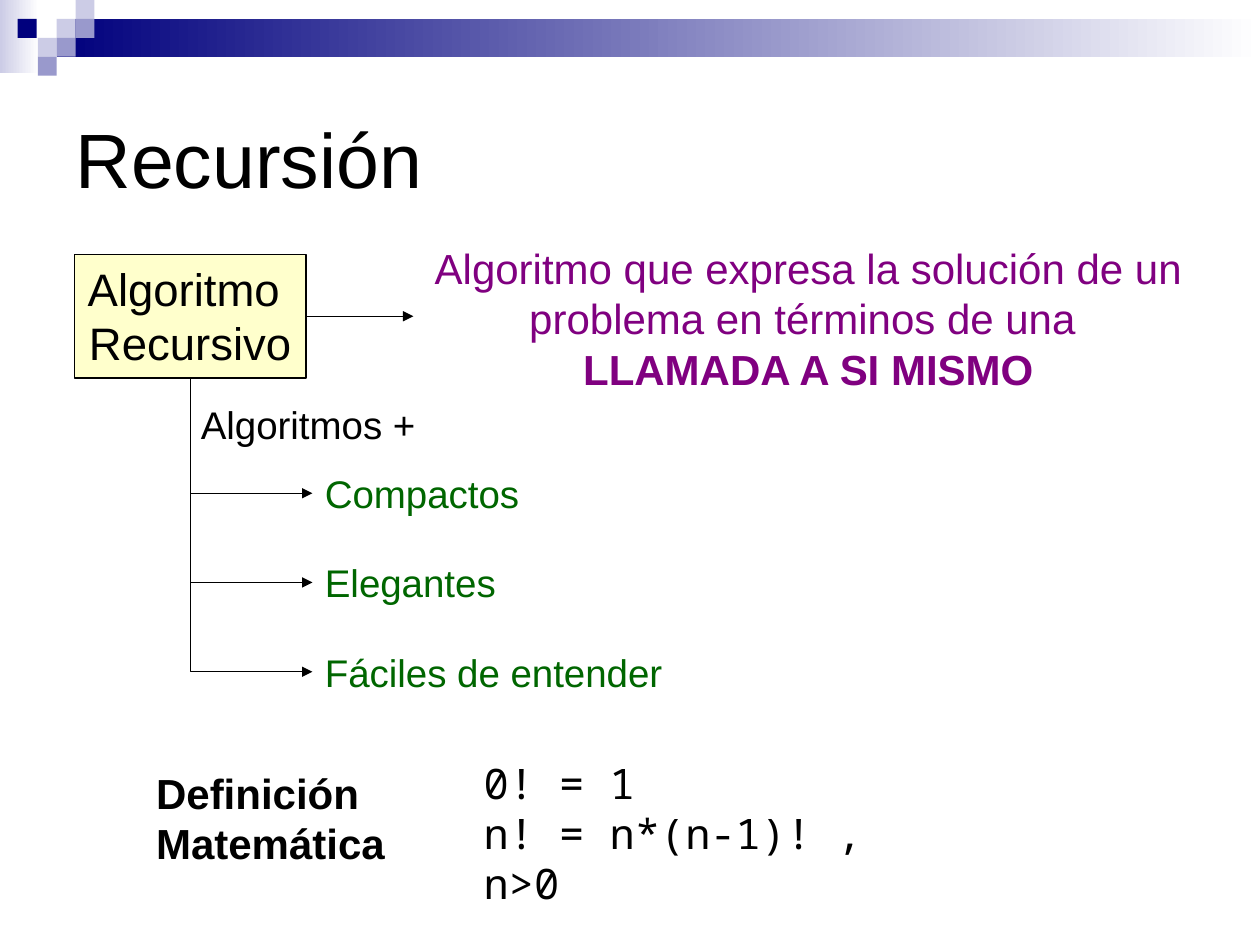
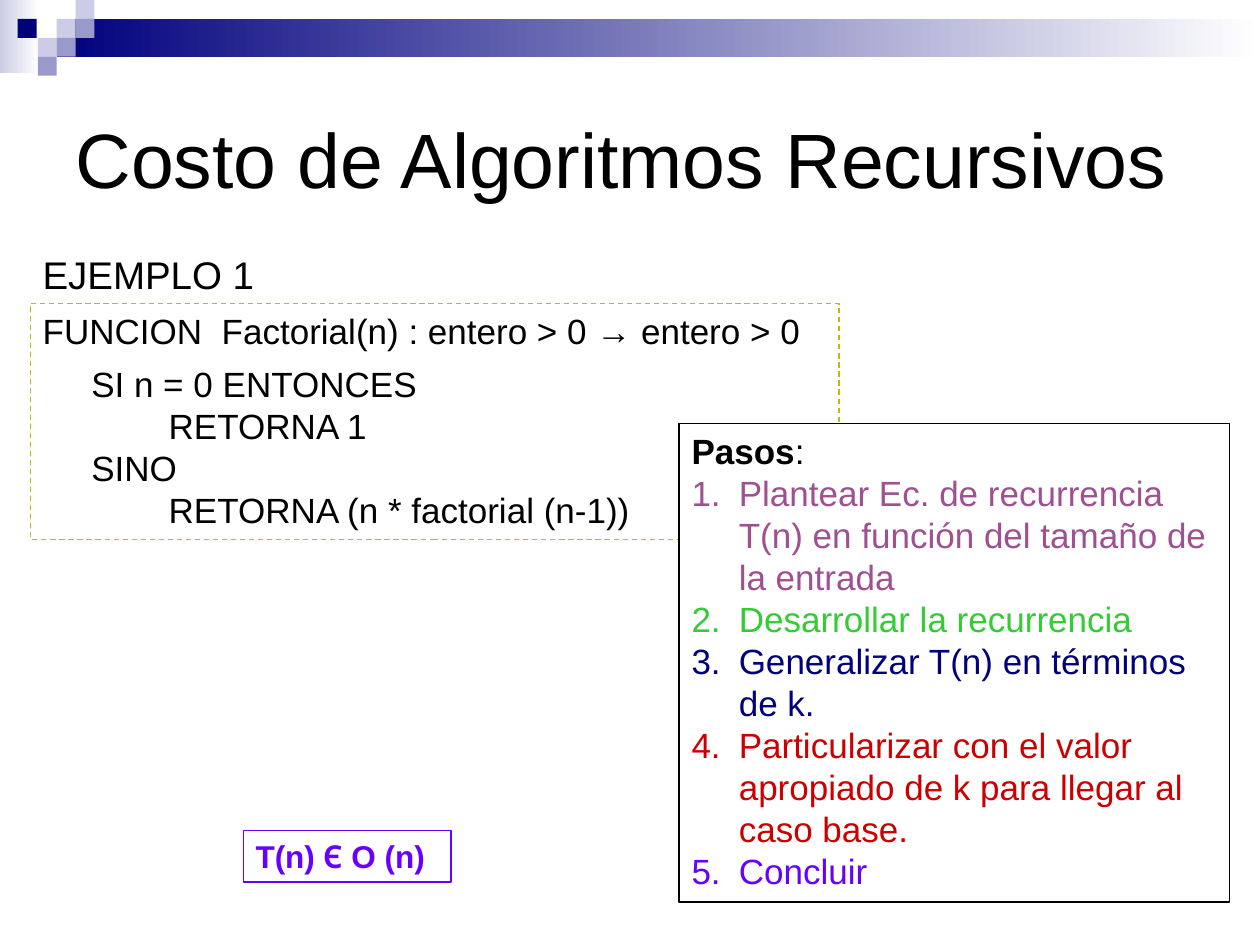
from dataclasses import dataclass

from lxml.etree import SubElement
from pptx import Presentation
from pptx.dml.color import RGBColor
from pptx.enum.dml import MSO_LINE
from pptx.enum.shapes import MSO_CONNECTOR as Link, MSO_SHAPE as Shape
from pptx.enum.text import MSO_ANCHOR as Anchor, MSO_AUTO_SIZE as Fit, PP_ALIGN as Align
from pptx.oxml.ns import qn
from pptx.util import Inches, Pt

BLACK = RGBColor(0x00, 0x00, 0x00)
WHITE = RGBColor(0xFF, 0xFF, 0xFF)
NAVY = RGBColor(0x00, 0x00, 0x7D)
PALE = RGBColor(0xCC, 0xCC, 0xE6)
LAVENDER = RGBColor(0x99, 0x99, 0xCC)
CREAM = RGBColor(0xFF, 0xFF, 0xCC)
PURPLE = RGBColor(0x80, 0x00, 0x80)
DARK_GREEN = RGBColor(0x00, 0x66, 0x00)
OLIVE = RGBColor(0xB9, 0xBD, 0x0F)
MAUVE = RGBColor(0xA0, 0x50, 0x91)
GREEN = RGBColor(0x33, 0xCC, 0x33)
RED = RGBColor(0xCC, 0x00, 0x00)
VIOLET = RGBColor(0x66, 0x00, 0xFF)

SANS, MONO = "Arial", "Noto Sans Mono"
COLUMNS, ROWS = 100, 75
SLIDE_WIDTH, SLIDE_HEIGHT = Inches(10), Inches(7.5)
TOP, LEFT, BOTTOM, RIGHT = range(4)


@dataclass(frozen=True)
class Area:
    left: float
    top: float
    width: float
    height: float

    def place(self) -> tuple:
        return columns(self.left), rows(self.top), columns(self.width), rows(self.height)


@dataclass(frozen=True)
class Span:
    text: str
    color: RGBColor = BLACK
    bold: bool = False
    font: str = SANS


@dataclass(frozen=True)
class Para:
    spans: tuple
    align: Align = Align.LEFT
    margin: float = 0
    hanging: bool = False
    numbered: bool = False
    before: float = 0


@dataclass(frozen=True)
class Block:
    area: Area
    paras: tuple
    size: float
    fill: RGBColor | None = None
    line: RGBColor | None = None
    dash: MSO_LINE | None = None
    anchor: Anchor = Anchor.TOP
    wrap: bool = True


@dataclass(frozen=True)
class Tile:
    area: Area
    color: RGBColor
    fades: bool = False


def columns(count: float) -> int:
    return round(SLIDE_WIDTH * count / COLUMNS)


def rows(count: float) -> int:
    return round(SLIDE_HEIGHT * count / ROWS)


def apply(target, values: dict) -> None:
    for name, value in values.items():
        setattr(target, name, value)


def lines(*texts: str, color: RGBColor = BLACK, bold: bool = False,
          font: str = SANS, align: Align = Align.LEFT) -> tuple:
    return tuple(Para((Span(text, color, bold, font),), align) for text in texts)


TILE = 1.5
BAND = (
    Tile(Area(0, 0, 3.1, 5.8), PALE, True),
    Tile(Area(4.5, TILE, 95.5, 3), NAVY, True),
    *(Tile(Area(left, row * TILE, TILE, TILE), color) for left, row, color in (
        (4.5, 1, PALE), (6, 0, PALE), (6, 1, LAVENDER), (3, 2, PALE),
        (1.4, 1, NAVY), (4.5, 2, LAVENDER), (3, 3, LAVENDER))),
)


def share_band(deck, page) -> None:
    tree = deck.slide_master.shapes.element
    for position, tile in enumerate(BAND, start=2):
        box = page.shapes.add_shape(Shape.RECTANGLE, *tile.area.place())
        box.shadow.inherit = False
        box.line.fill.background()
        if tile.fades:
            box.fill.gradient()
            box.fill.gradient_angle = 0
            for stop, color in zip(box.fill.gradient_stops, (tile.color, WHITE)):
                stop.color.rgb = color
        else:
            box.fill.solid()
            box.fill.fore_color.rgb = tile.color
        tree.insert(position, box.element)


def write_para(para, content: Para, size: float) -> None:
    properties = para._p.get_or_add_pPr()
    if content.margin:
        properties.set("marL", str(columns(content.margin)))
        properties.set("indent", str(-columns(content.margin) if content.hanging else 0))
    if content.numbered:
        SubElement(properties, qn("a:buAutoNum"), type="arabicPeriod")
    para.alignment = content.align
    if content.before:
        para.space_before = Pt(content.before)
    for span in content.spans:
        run = para.add_run()
        run.text = span.text
        apply(run.font, {"name": span.font, "size": Pt(size), "bold": span.bold})
        run.font.color.rgb = span.color


def write(frame, paras: tuple, size: float) -> None:
    for index, content in enumerate(paras):
        para = frame.add_paragraph() if index else frame.paragraphs[0]
        write_para(para, content, size)


def draw_block(page, block: Block):
    if block.fill is None and block.line is None:
        box = page.shapes.add_textbox(*block.area.place())
    else:
        box = page.shapes.add_shape(Shape.RECTANGLE, *block.area.place())
        box.shadow.inherit = False
        if block.fill is None:
            box.fill.background()
        else:
            box.fill.solid()
            box.fill.fore_color.rgb = block.fill
        box.line.color.rgb = block.line
        apply(box.line, {"width": Pt(0.75), "dash_style": block.dash})
    apply(box.text_frame, {
        "word_wrap": block.wrap,
        "vertical_anchor": block.anchor,
        "auto_size": Fit.NONE if block.anchor == Anchor.MIDDLE else Fit.SHAPE_TO_FIT_TEXT,
    })
    write(box.text_frame, block.paras, block.size)
    return box


def style_arrow(arrow) -> None:
    arrow.line.color.rgb = BLACK
    arrow.line.width = Pt(0.75)
    properties = arrow.element.spPr
    SubElement(properties.find(qn("a:ln")), qn("a:tailEnd"), type="triangle")
    SubElement(properties, qn("a:effectLst"))


def draw_branch(page, source, target) -> None:
    start_x, start_y = source.left + source.width // 2, source.top + source.height
    end_x, end_y = target.left, target.top + target.height // 2
    across, down = end_x - start_x, end_y - start_y
    arrow = page.shapes.add_connector(Link.ELBOW, start_x, start_y, end_x, end_y)
    arrow.begin_connect(source, BOTTOM)
    arrow.end_connect(target, LEFT)
    apply(arrow, {
        "left": start_x + (across - down) // 2,
        "top": start_y + (down - across) // 2,
        "width": down,
        "height": across,
    })
    properties = arrow.element.spPr
    properties.find(qn("a:prstGeom")).set("prst", "bentConnector2")
    frame = properties.find(qn("a:xfrm"))
    frame.set("rot", str(270 * 60000))
    frame.set("flipH", "1")
    style_arrow(arrow)


def add_page(deck, title: str):
    page = deck.slides.add_slide(deck.slide_layouts[5])
    heading = page.shapes.title
    left, top, width, height = Area(5, 5, 90, 15).place()
    apply(heading, {"left": left, "top": top, "width": width, "height": height})
    apply(heading.text_frame, {"vertical_anchor": Anchor.MIDDLE, "word_wrap": True,
                               "auto_size": Fit.NONE})
    write(heading.text_frame, lines(title), 44)
    return page


def build_recursion(page) -> None:
    centered = {"align": Align.CENTER}
    middle = {"anchor": Anchor.MIDDLE, "wrap": False}
    meaning = (
        *lines("Algoritmo que expresa la solución de un", "problema en términos de una ",
               color=PURPLE, **centered),
        *lines("LLAMADA A SI MISMO", color=PURPLE, bold=True, **centered))
    draw_block(page, Block(Area(31.1, 17, 66.1, 16.5), meaning, 24, **middle))
    algorithm = draw_block(page, Block(
        Area(5.9, 20.2, 18.4, 9.8), lines("Algoritmo ", "Recursivo", **centered),
        26, CREAM, BLACK, wrap=False))
    middle_y = algorithm.top + algorithm.height // 2
    arrow = page.shapes.add_connector(
        Link.STRAIGHT, algorithm.left + algorithm.width, middle_y, columns(32.8), middle_y)
    arrow.begin_connect(algorithm, RIGHT)
    style_arrow(arrow)

    draw_block(page, Block(Area(7.5, 29.7, 33.9, 7.9),
                           lines("Algoritmos +", **centered), 22, **middle))
    for index, virtue in enumerate(("Compactos", "Elegantes", "Fáciles de entender")):
        target = draw_block(page, Block(
            Area(24.8, 35.2 + 7.08 * index, 33.9, 7.9),
            lines(virtue, color=DARK_GREEN), 22, **middle))
        draw_branch(page, algorithm, target)

    draw_block(page, Block(Area(37.4, 59.6, 39.4, 9.4),
                           lines("0! = 1", "n! = n*(n-1)! , n>0", font=MONO), 24))
    draw_block(page, Block(Area(11.4, 60.4, 20.2, 9),
                           lines("Definición", "Matemática", bold=True), 24, wrap=False))


def build_cost(page) -> None:
    code = (
        ("FUNCION  Factorial(n) : entero > 0 → entero > 0", 0, 0),
        ("SI n = 0 ENTONCES", 3.86, 6),
        ("RETORNA 1", 10, 0),
        ("SINO", 3.86, 0),
        ("RETORNA (n * factorial (n-1))", 10, 0))
    draw_block(page, Block(
        Area(2.4, 24.1, 64.2, 18.7),
        tuple(Para((Span(text),), margin=margin, before=before)
              for text, margin, before in code),
        20, line=OLIVE, dash=MSO_LINE.DASH))

    steps = (
        ("Plantear Ec. de recurrencia T(n) en función del tamaño de la entrada", MAUVE),
        ("Desarrollar la recurrencia", GREEN),
        ("Generalizar T(n) en términos de k.", NAVY),
        ("Particularizar con el valor apropiado de k para llegar al caso base.", RED),
        ("Concluir", VIOLET))
    hanging = {"margin": 3.75, "hanging": True}
    draw_block(page, Block(
        Area(53.9, 33.6, 43.7, 38),
        (Para((Span("Pasos", bold=True), Span(":")), **hanging),
         *(Para((Span(text, color),), numbered=True, **hanging) for text, color in steps)),
        20, WHITE, BLACK))

    draw_block(page, Block(Area(2.4, 19.4, 19.7, 4.7), lines("EJEMPLO 1"), 22))
    order = (Span("T(n) ", VIOLET, True), Span("Є", VIOLET, True, MONO),
             Span(" O (n)", VIOLET, True))
    draw_block(page, Block(Area(19.3, 65.9, 16.5, 4.1), (Para(order),), 18, line=VIOLET))


def main() -> None:
    deck = Presentation()
    apply(deck, {"slide_width": SLIDE_WIDTH, "slide_height": SLIDE_HEIGHT})
    recursion = add_page(deck, "Recursión")
    share_band(deck, recursion)
    build_recursion(recursion)
    build_cost(add_page(deck, "Costo de Algoritmos Recursivos"))
    deck.save("out.pptx")


if __name__ == "__main__":
    main()
